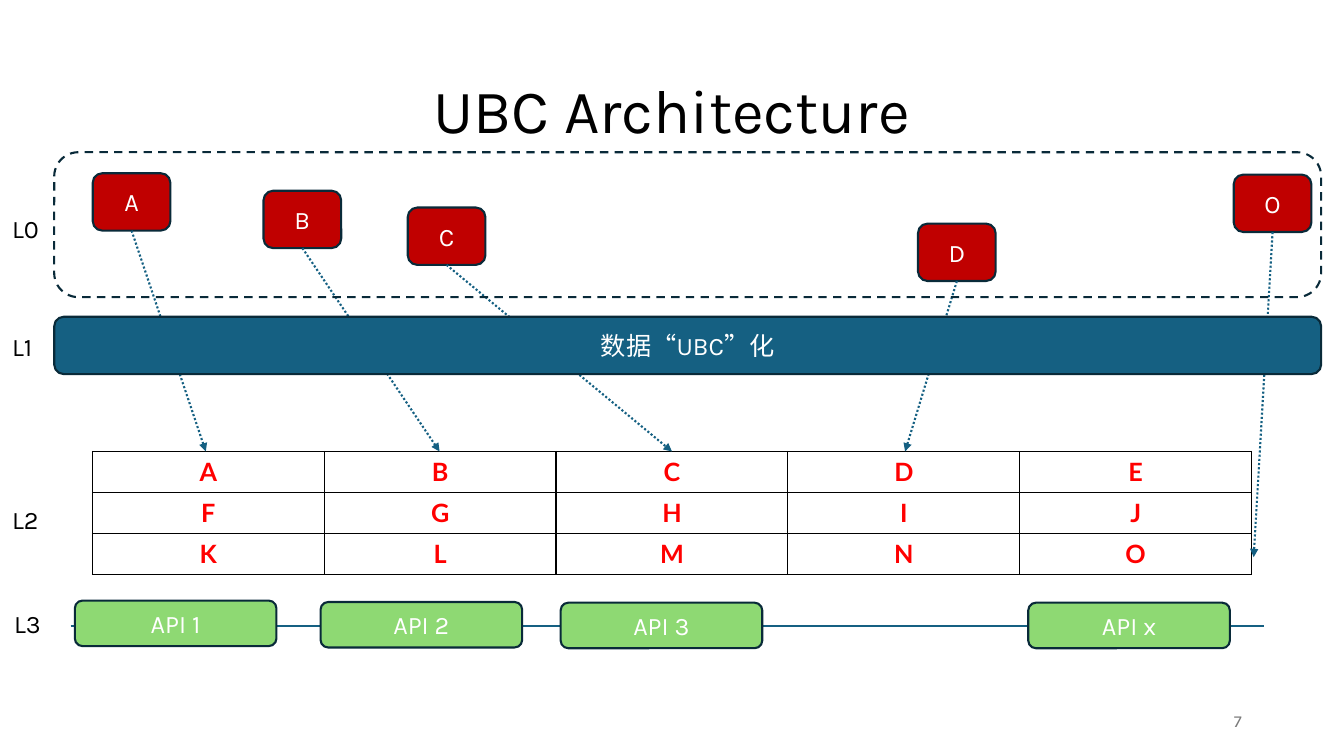
from lxml.etree import SubElement
from pptx import Presentation
from pptx.dml.color import RGBColor
from pptx.enum.dml import MSO_LINE
from pptx.enum.shapes import MSO_CONNECTOR, MSO_SHAPE
from pptx.enum.text import MSO_ANCHOR, MSO_AUTO_SIZE, PP_ALIGN
from pptx.oxml.ns import qn
from pptx.util import Pt

NAVY, BLUE, RED, GREEN = "092A39", "156082", "C00000", "8ED973"
BLACK, WHITE = "000000", "FFFFFF"


def color(value):
    """Turn a hex string into a colour."""
    return RGBColor.from_string(value)


def write(frame, text, ink, size=18, align=PP_ALIGN.CENTER, font="Karla", bold=False):
    """Put one formatted paragraph into a text frame."""
    frame.text = text
    para = frame.paragraphs[0]
    para.alignment = align
    for span in para.runs:
        span.font.name = font
        span.font.size = Pt(size)
        span.font.bold = bold
        span.font.color.rgb = color(ink)


def add_box(page, left, top, width, height, fill=None, text=""):
    """Draw an outlined rounded box, hollow when it has no fill."""
    box = page.shapes.add_shape(
        MSO_SHAPE.ROUNDED_RECTANGLE, Pt(left), Pt(top), Pt(width), Pt(height))
    box.shadow.inherit = False
    box.line.color.rgb = color(NAVY)
    box.line.width = Pt(1.5)
    if fill:
        box.fill.solid()
        box.fill.fore_color.rgb = color(fill)
    else:
        box.fill.background()
    if text:
        box.text_frame.vertical_anchor = MSO_ANCHOR.MIDDLE
        write(box.text_frame, text, WHITE)
    return box


def add_line(page, start_x, start_y, end_x, end_y):
    """Draw a plain blue line without shadow."""
    line = page.shapes.add_connector(
        MSO_CONNECTOR.STRAIGHT, Pt(start_x), Pt(start_y), Pt(end_x), Pt(end_y))
    line.line.color.rgb = color(BLUE)
    line.line.width = Pt(1.5)
    SubElement(line._element.spPr, qn("a:effectLst"))
    return line


def add_text(page, left, top, width, height, text, ink, size, align):
    """Add a wrapping text box and return its frame."""
    frame = page.shapes.add_textbox(Pt(left), Pt(top), Pt(width), Pt(height)).text_frame
    frame.word_wrap = True
    write(frame, text, ink, size, align)
    return frame


def add_label(page, left, top, text):
    """Name a layer in the left margin."""
    frame = add_text(page, left, top, 40, 29, text, BLACK, 18, PP_ALIGN.LEFT)
    frame.auto_size = MSO_AUTO_SIZE.SHAPE_TO_FIT_TEXT


def add_title(page, left, top, width, height):
    """Place and format the title placeholder."""
    title = page.shapes.title
    title.left, title.top, title.width, title.height = map(Pt, (left, top, width, height))
    title.text_frame.vertical_anchor = MSO_ANCHOR.MIDDLE
    write(title.text_frame, "UBC Architecture", BLACK, 44)
    title.text_frame.paragraphs[0].line_spacing = 0.9


def add_sources(page, left, top, width, height):
    """Draw the dashed source layer and the arrows from its boxes to the table."""
    sources = [
        ("A", 27.5, 15, 147, 322.5),
        ("B", 149.5, 27.5, 314, 322.5),
        ("C", 252.5, 39.5, 480, 322.5),
        ("D", 617, 51, 646.5, 322.5),
        ("O", 842.5, 16, 895.5, 398),
    ]
    for text, across, down, end_x, end_y in sources:
        box = add_box(page, left + across, top + down, 55.5, 41, RED, text)
        arrow = add_line(page, left + across, top + down, end_x, end_y)
        arrow.begin_connect(box, 2)
        arrow.line.dash_style = MSO_LINE.ROUND_DOT
        SubElement(arrow.line._get_or_add_ln(), qn("a:tailEnd"), type="triangle")
    border = add_box(page, left, top, width, height)
    border.line.dash_style = MSO_LINE.DASH


def format_cell(cell, text):
    """Give a cell black borders, no fill and red text."""
    properties = cell._tc.get_or_add_tcPr()
    for side in ("a:lnL", "a:lnR", "a:lnT", "a:lnB"):
        edge = SubElement(properties, qn(side), w=str(Pt(1)))
        SubElement(SubElement(edge, qn("a:solidFill")), qn("a:srgbClr"), val=BLACK)
    cell.fill.background()
    write(cell.text_frame, text, "FF0000", font="Lato", bold=True)


def add_grid(page, left, top, width, height):
    """Draw the table of lettered data units."""
    rows = ["ABCDE", "FGHIJ", "KLMNO"]
    table = page.shapes.add_table(
        len(rows), len(rows[0]), Pt(left), Pt(top), Pt(width), Pt(height)).table
    table.first_row = table.horz_banding = False
    for row, letters in enumerate(rows):
        for column, letter in enumerate(letters):
            format_cell(table.cell(row, column), letter)


def add_interfaces(page, left, top, width):
    """Draw the API boxes along their line."""
    add_line(page, left, top, left + width, top)
    for text, across, rise in (
            ("API 1", 3, 18), ("API 2", 178.5, 17), ("API 3", 350, 16.5), ("API x", 684, 16.5)):
        add_box(page, left + across, top - rise, 144, 32.5, GREEN, text)


def main():
    """Build the slide and save it."""
    deck = Presentation()
    deck.slide_width, deck.slide_height = Pt(960), Pt(540)
    page = deck.slides.add_slide(deck.slide_layouts[5])
    add_title(page, 66, 28.75, 828, 104.5)
    add_grid(page, 66, 322.5, 828, 87.75)
    add_sources(page, 38.75, 108.75, 905, 103.5)
    add_box(page, 38.75, 226.25, 905, 41, BLUE, "数据“UBC”化")
    add_interfaces(page, 50.5, 447, 852.5)
    for text, left, top in (
            ("L0", 1.5, 149), ("L1", 1.5, 233), ("L2", 1.5, 357), ("L3", 3, 431)):
        add_label(page, left, top, text)
    number = add_text(page, 678, 500.5, 216, 28.75, "7", "797979", 12, PP_ALIGN.RIGHT)
    number.vertical_anchor = MSO_ANCHOR.MIDDLE
    deck.save("out.pptx")


if __name__ == "__main__":
    main()
